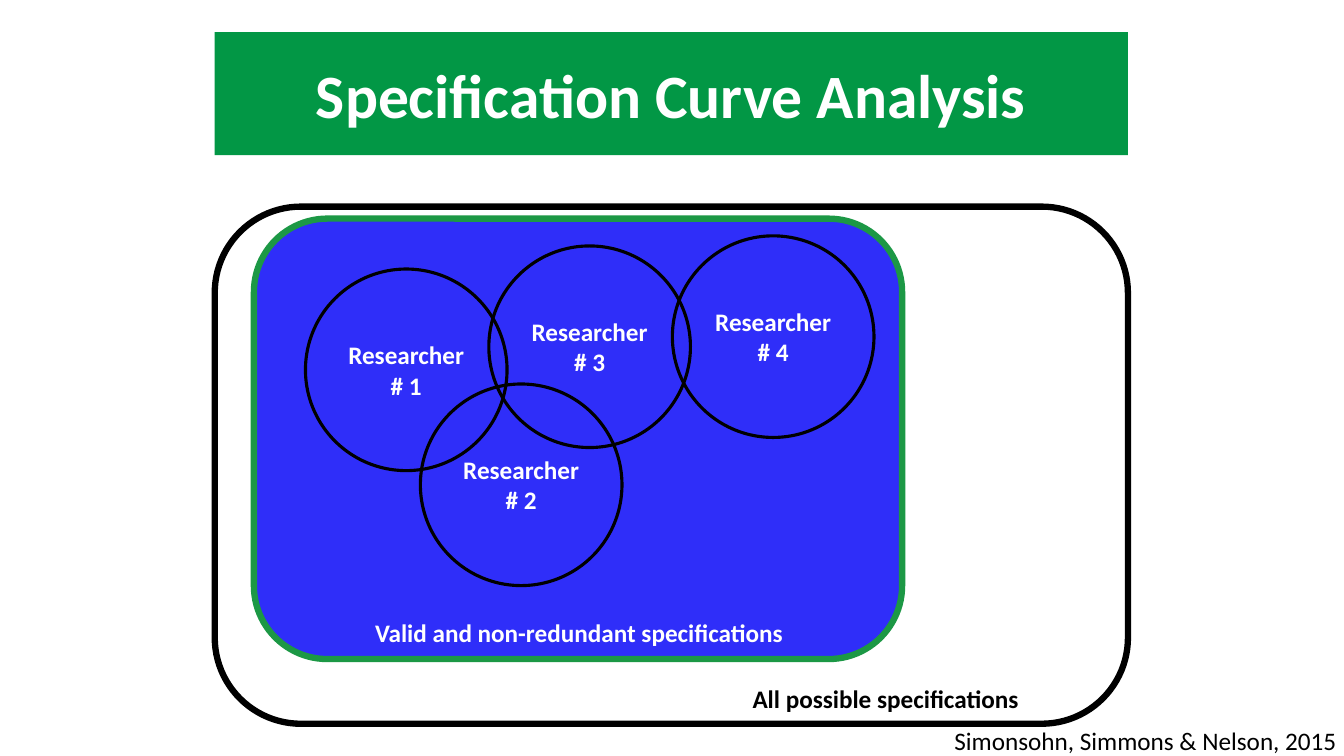
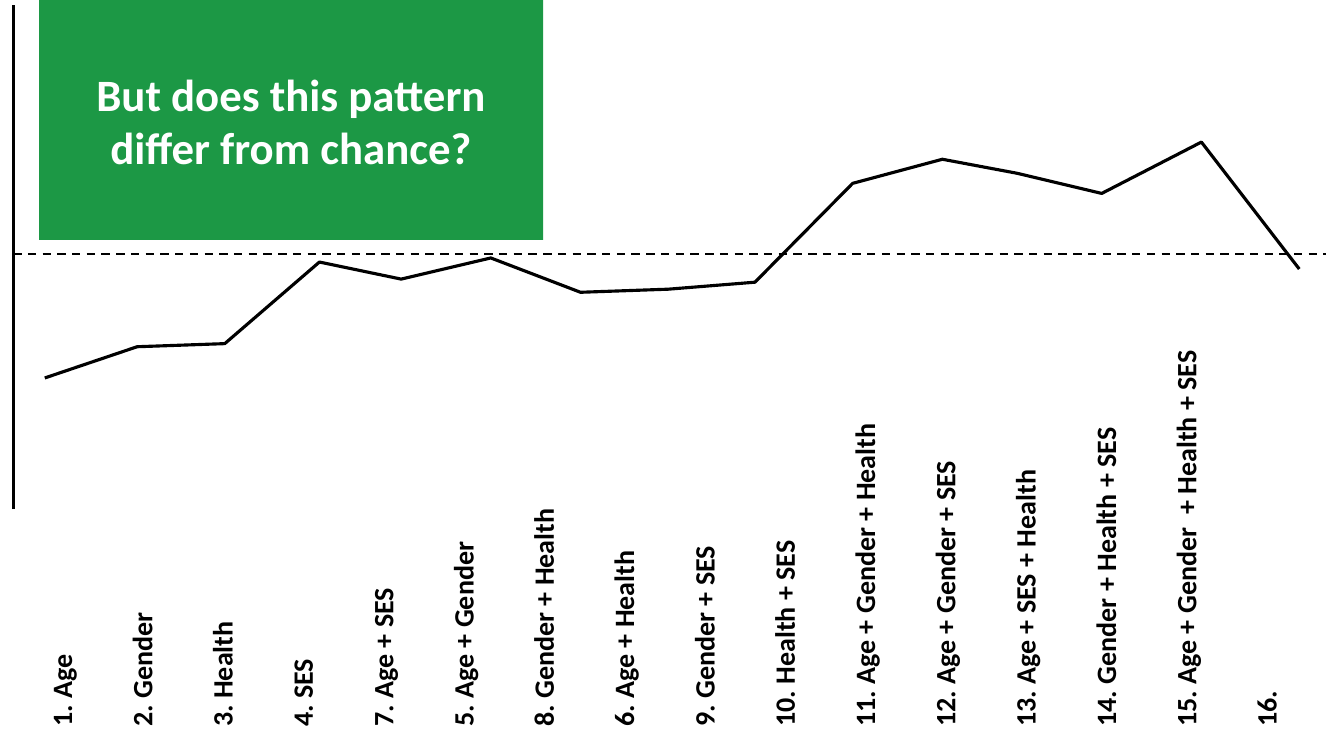
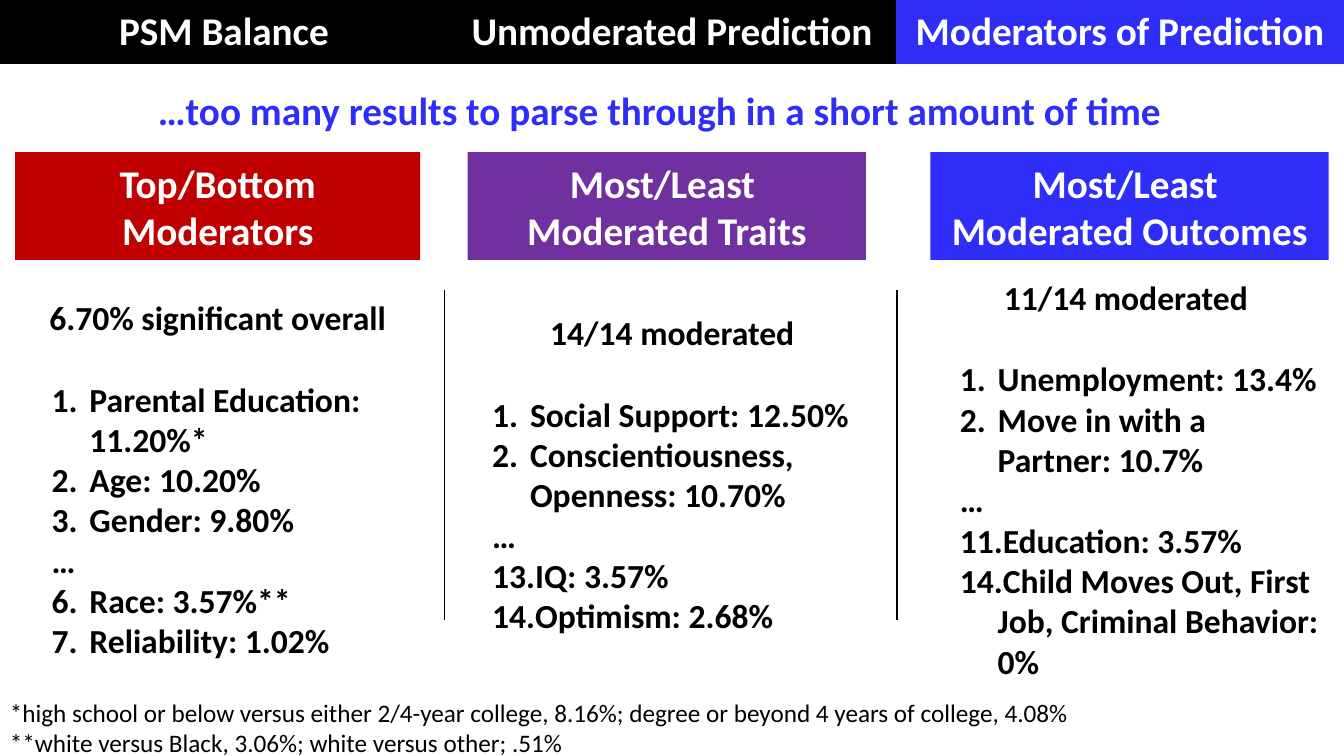
import pptx
import pptx.util
import pptx.dml.color
import pptx.enum.dml
import pptx.enum.shapes
import pptx.enum.text
import pptx.oxml.ns
from lxml import etree

Pt = pptx.util.Pt
SHAPES = pptx.enum.shapes.MSO_SHAPE
ALIGN = pptx.enum.text.PP_ALIGN
ANCHOR = pptx.enum.text.MSO_ANCHOR
FONT = "Calibri"
NO_TABLE_STYLE = "{2D5ABB26-0587-4C30-8999-92F81FD0307C}"
COLORS = {
    "black": "000000",
    "white": "FFFFFF",
    "title_green": "029745",
    "green": "1C9845",
    "blue": "2F2EF9",
    "red": "C00000",
    "purple": "7030A0",
}
WIDTH, HEIGHT = 960, 540


def rgb(name):
    return pptx.dml.color.RGBColor.from_string(COLORS[name])


def style_paragraph(paragraph, text, size, color, bold=True, align=ALIGN.CENTER):
    paragraph.text = text
    paragraph.alignment = align
    paragraph.font.name = FONT
    paragraph.font.size = Pt(size)
    paragraph.font.bold = bold
    paragraph.font.color.rgb = rgb(color)


def write_lines(frame, lines, size, color, bold=True, align=ALIGN.CENTER, anchor=ANCHOR.MIDDLE):
    frame.word_wrap = True
    frame.vertical_anchor = anchor
    for index, line in enumerate(lines):
        paragraph = frame.add_paragraph() if index else frame.paragraphs[0]
        style_paragraph(paragraph, line, size, color, bold, align)


def add_text(slide, box, lines, size, color="black", **options):
    shape = slide.shapes.add_textbox(*map(Pt, box))
    write_lines(shape.text_frame, lines, size, color, **options)
    return shape


def add_outline(shape, line, weight):
    if line:
        shape.line.color.rgb = rgb(line)
        shape.line.width = Pt(weight)
    else:
        shape.line.fill.background()


def add_block(slide, kind, box, fill=None, line=None, weight=1, lines=(), size=18):
    shape = slide.shapes.add_shape(kind, *map(Pt, box))
    shape.shadow.inherit = False
    if fill:
        shape.fill.solid()
        shape.fill.fore_color.rgb = rgb(fill)
    else:
        shape.fill.background()
    add_outline(shape, line, weight)
    write_lines(shape.text_frame, lines, size, "white")
    return shape


def add_line(slide, start, end, weight, dashed=False):
    connector = slide.shapes.add_connector(
        pptx.enum.shapes.MSO_CONNECTOR.STRAIGHT, *map(Pt, (*start, *end)))
    add_outline(connector, "black", weight)
    if dashed:
        connector.line.dash_style = pptx.enum.dml.MSO_LINE.DASH
    etree.SubElement(connector._element.spPr, pptx.oxml.ns.qn("a:effectLst"))


def add_specification_sets(slide, left, top, width, height):
    def inside(x, y, w, h):
        return left + x, top + y, w, h

    add_block(slide, SHAPES.ROUNDED_RECTANGLE, (left, top, width, height), "white", "black", 4.5)
    add_text(slide, inside(362.9, 336.2, 232.6, 29.5), ["All possible specifications"], 18)
    add_block(slide, SHAPES.ROUNDED_RECTANGLE, inside(28, 8.6, 463, 314.6), "blue", "green", 4.5)
    add_text(slide, inside(100.8, 289.4, 319, 29.5),
             ["Valid and non-redundant specifications"], 18, "white")
    for number, x, y in ((1, 64.8, 44.6), (4, 326.9, 20.9), (2, 146.9, 126.7), (3, 195.8, 28.1)):
        add_block(slide, SHAPES.OVAL, inside(x, y, 144, 144), None, "black", 2.25,
                  [f"Researcher # {number}"])


def build_analysis_slide(slide):
    add_block(slide, SHAPES.RECTANGLE, (153.4, 23, 652.3, 87.8), "title_green",
              lines=["Specification Curve Analysis"], size=44)
    add_specification_sets(slide, 153.4, 147.6, 652.3, 369.4)
    add_text(slide, (632.9, 517, 329, 23), ["Simonsohn, Simmons & Nelson, 2015"], 18,
             bold=False, align=ALIGN.RIGHT)


SPECIFICATIONS = [
    "1. Age", "2. Gender", "3. Health", "4. SES", "7. Age + SES", "5. Age + Gender",
    "8. Gender + Health", "6. Age + Health", "9. Gender + SES", "10. Health + SES",
    "11. Age + Gender + Health", "12. Age + Gender + SES", "13. Age + SES + Health",
    "14. Gender + Health + SES", "15. Age + Gender  + Health + SES", "16.",
]
CURVE = [
    (32, 270), (98, 247.7), (160.6, 245.5), (228.2, 187.2), (286.6, 199.4), (350.6, 184.3),
    (414.7, 208.8), (477.4, 206.6), (539.3, 201.6), (609.1, 131), (673.2, 113.8),
    (726.5, 123.8), (787, 138.2), (858.2, 101.5), (928.1, 192.2),
]


def add_vertical_labels(slide, labels, left, top, pitch, length, thickness):
    for index, label in enumerate(labels):
        center = left + thickness / 2 + index * pitch
        box = (center - length / 2, top + (length - thickness) / 2, length, thickness)
        add_text(slide, box, [label], 20, align=ALIGN.LEFT).rotation = 270


def add_curve(slide, points):
    first, *others = [tuple(map(Pt, point)) for point in points]
    builder = slide.shapes.build_freeform(*first)
    builder.add_line_segments(others, close=False)
    curve = builder.convert_to_shape()
    curve.shadow.inherit = False
    curve.fill.background()
    add_outline(curve, "black", 2.25)


def build_curve_slide(slide):
    add_vertical_labels(slide, SPECIFICATIONS, 19.4, 236, 57.36, 290.2, 48.2)
    add_line(slide, (9.4, 181.4), (946.8, 181.4), 1.5, dashed=True)
    add_curve(slide, CURVE)
    add_line(slide, (9.4, 363.6), (9.4, 3.6), 2.25)
    add_block(slide, SHAPES.RECTANGLE, (28, 0, 360, 171.4), "green",
              lines=["But does this pattern differ from chance?"], size=32)


def add_tabs(slide, tabs, left, top, width, height):
    frame = slide.shapes.add_table(1, len(tabs), *map(Pt, (left, top, width, height)))
    table = frame.table
    table.first_row = table.horz_banding = False
    table._tbl.tblPr.find(pptx.oxml.ns.qn("a:tableStyleId")).text = NO_TABLE_STYLE
    for cell, (label, fill) in zip(table.rows[0].cells, tabs):
        cell.fill.solid()
        cell.fill.fore_color.rgb = rgb(fill)
        cell.vertical_anchor = ANCHOR.MIDDLE
        style_paragraph(cell.text_frame.paragraphs[0], label, 28, "white")


def add_ranking(slide, box, summary, items, indent):
    frame = add_text(slide, box, [summary], 24).text_frame
    frame.paragraphs[0].space_after = Pt(29.3)
    for start, text in items:
        paragraph = frame.add_paragraph()
        properties = paragraph._p.get_or_add_pPr()
        properties.set("marL", str(Pt(indent)))
        properties.set("indent", str(Pt(-27)))
        if start:
            bullet = etree.SubElement(properties, pptx.oxml.ns.qn("a:buAutoNum"))
            bullet.set("type", "arabicPeriod")
            if start > 1:
                bullet.set("startAt", str(start))
        style_paragraph(paragraph, text, 24, "black", align=ALIGN.LEFT)


RANKINGS = [
    {"heading": ["Top/Bottom Moderators"], "fill": "red", "box": (10.8, 108.7, 289.4, 77),
     "body": (10.8, 185.8), "indent": 46, "summary": "6.70% significant overall",
     "items": [(1, "Parental Education: 11.20%*"), (1, "Age: 10.20%"), (1, "Gender: 9.80%"),
               (None, "…"), (6, "Race: 3.57%**"), (6, "Reliability: 1.02%")]},
    {"heading": ["Most/Least ", "Moderated Traits"], "fill": "purple",
     "box": (334.1, 108.7, 284.4, 77),
     "body": (335.5, 182.2), "indent": 36, "summary": "14/14 moderated",
     "items": [(1, "Social Support: 12.50%"), (1, "Conscientiousness, Openness: 10.70%"),
               (None, "…"), (13, "IQ: 3.57%"), (13, "Optimism: 2.68%")]},
    {"heading": ["Most/Least ", "Moderated Outcomes"], "fill": "blue",
     "box": (664.6, 108.7, 284.4, 77),
     "body": (659.5, 185.8), "indent": 46, "summary": "11/14 moderated",
     "items": [(1, "Unemployment: 13.4%"), (1, "Move in with a Partner: 10.7%"),
               (None, "…"), (11, "Education: 3.57%"),
               (14, "Child Moves Out, First Job, Criminal Behavior: 0%")]},
]
FOOTNOTES = [
    "*high school or below versus either 2/4-year college, 8.16%; "
    "degree or beyond 4 years of college, 4.08%",
    "**white versus Black, 3.06%; white versus other; .51%",
]


def build_moderators_slide(slide):
    add_tabs(slide, [("PSM Balance", "black"), ("Unmoderated Prediction", "black"),
                     ("Moderators of Prediction", "blue")], 0, 0, WIDTH, 46)
    add_text(slide, (87.8, 53.3, 766, 49.7),
             ["…too many results to parse through in a short amount of time"], 28, "blue")
    for ranking in RANKINGS:
        add_block(slide, SHAPES.RECTANGLE, ranking["box"], ranking["fill"],
                  lines=ranking["heading"], size=28)
        add_ranking(slide, (*ranking["body"], 289.4, 312.5), ranking["summary"],
                    ranking["items"], ranking["indent"])
    add_text(slide, (0, 494.6, 852.5, 51), FOOTNOTES, 18, bold=False, align=ALIGN.LEFT,
             anchor=ANCHOR.TOP)
    for x in (317.5, 640.8):
        add_line(slide, (x, 207.4), (x, 442.8), 1)


def main():
    presentation = pptx.Presentation()
    presentation.slide_width = Pt(WIDTH)
    presentation.slide_height = Pt(HEIGHT)
    for build in (build_analysis_slide, build_curve_slide, build_moderators_slide):
        build(presentation.slides.add_slide(presentation.slide_layouts[6]))
    presentation.save("out.pptx")


if __name__ == "__main__":
    main()
